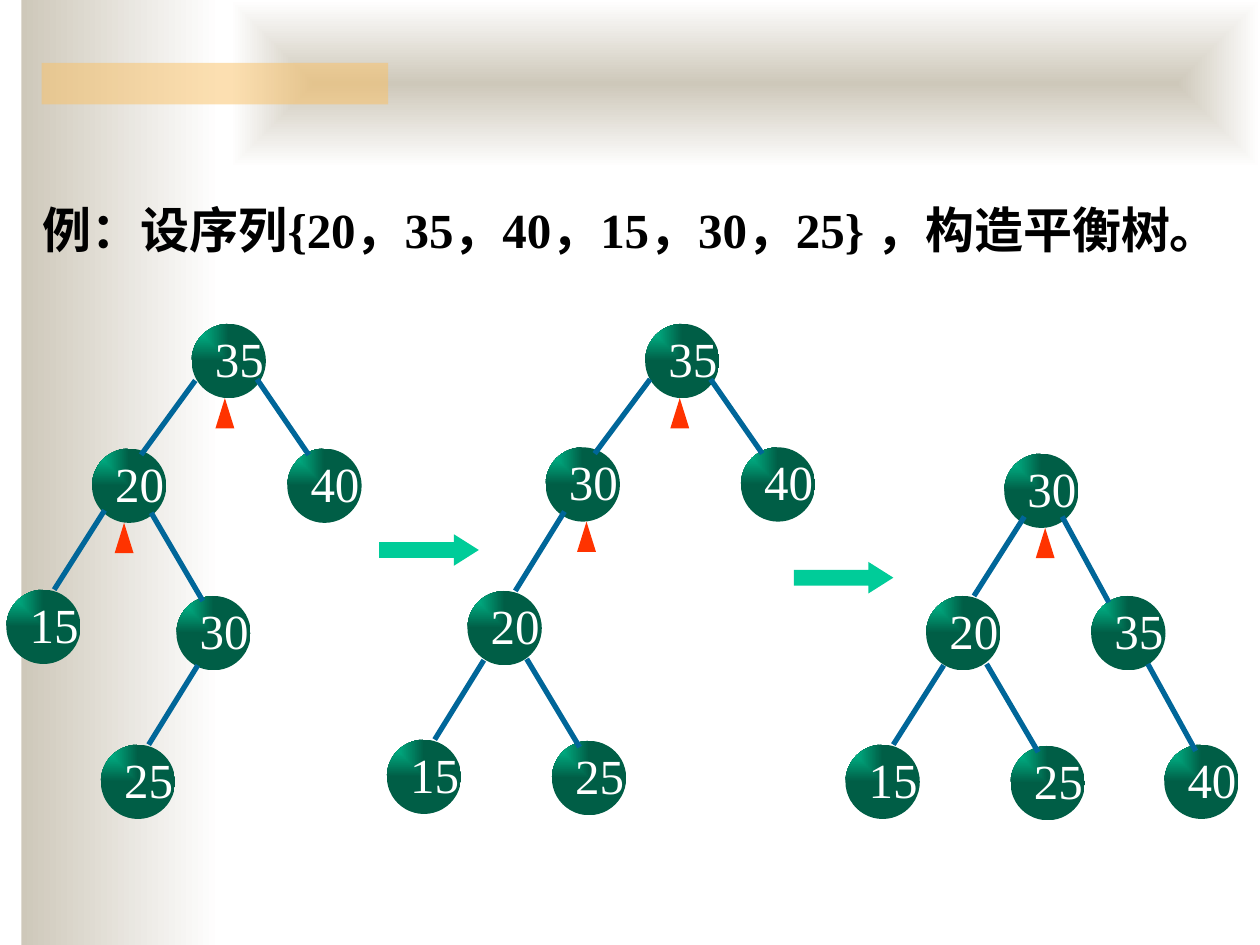
"""Builds a slide that shows how a balanced tree is made from a sequence."""
from typing import NamedTuple, Optional

from lxml.etree import SubElement
from pptx import Presentation
from pptx.dml.color import RGBColor
from pptx.enum.shapes import MSO_CONNECTOR as Connector, MSO_SHAPE as Shape
from pptx.enum.text import MSO_ANCHOR as Anchor, PP_ALIGN as Align
from pptx.oxml.ns import qn
from pptx.util import Emu, Inches, Pt

COLUMNS, ROWS = 100, 75
NODE_SIZE = 5.9
LATIN, CHINESE = "Times New Roman", "Noto Sans CJK SC"
BEIGE, WHITE, BLACK = "CEC8BA", "FFFFFF", "000000"
AMBER, GREEN, DARK_GREEN = "FAC164", "00CC99", "005E46"
BLUE, RED = "006699", "FF3300"


class Node(NamedTuple):
    key: int
    col: float
    row: float
    marker_offset: Optional[float] = None


class Edge(NamedTuple):
    from_col: float
    from_row: float
    to_col: float
    to_row: float


class Tree(NamedTuple):
    nodes: list[Node]
    edges: list[Edge]


TREES = [
    Tree(
        [Node(35, 15.2, 25.7, 1.9), Node(20, 7.3, 35.6, 1.8), Node(40, 22.8, 35.6),
         Node(15, 0.5, 46.8), Node(30, 14, 47.3), Node(25, 8, 59.1)],
        [Edge(20.4, 30.1, 24.5, 36.1), Edge(15.5, 30.2, 11.2, 36.1),
         Edge(8.3, 40.5, 4.3, 46.8), Edge(12, 40.7, 16.1, 47.7),
         Edge(15.7, 52.8, 11.8, 59.1)],
    ),
    Tree(
        [Node(35, 51.2, 25.7, 2), Node(30, 43.3, 35.5, 2.5), Node(40, 58.8, 35.5),
         Node(20, 37.1, 46.9), Node(15, 30.7, 58.7), Node(25, 43.8, 58.8)],
        [Edge(56.4, 30.1, 60.5, 36), Edge(51.6, 30.1, 47.2, 36),
         Edge(44.8, 40.6, 40.9, 46.9), Edge(41.8, 52.3, 46, 59.3),
         Edge(38.4, 52.4, 34.5, 58.7)],
    ),
    Tree(
        [Node(30, 79.7, 36, 2.5), Node(20, 73.5, 47.3), Node(35, 86.6, 47.3),
         Node(15, 67.1, 59.1), Node(25, 80.2, 59.2), Node(40, 92.4, 59.1)],
        [Edge(84.3, 41, 88, 47.8), Edge(81.3, 41, 77.3, 47.3),
         Edge(91.1, 52.7, 94.9, 59.6), Edge(78.3, 52.7, 82.4, 59.7),
         Edge(74.9, 52.8, 70.9, 59.1)],
    ),
]
STEP_ARROWS = [(30.1, 42.4), (63, 44.6)]

deck = Presentation()
deck.slide_width, deck.slide_height = Inches(10), Inches(7.5)


def x(col: float) -> Emu:
    """Turn grid columns into a length."""
    return Emu(round(deck.slide_width * col / COLUMNS))


def y(row: float) -> Emu:
    """Turn grid rows into a length."""
    return Emu(round(deck.slide_height * row / ROWS))


def color(value: str) -> RGBColor:
    """Read a hex colour."""
    return RGBColor.from_string(value)


def add_block(slide, kind, col: float, row: float, width: float, height: float, fill: str):
    """Add a plain filled shape on the grid."""
    block = slide.shapes.add_shape(kind, x(col), y(row), x(width), y(height))
    block.shadow.inherit = False
    block.line.fill.background()
    block.fill.solid()
    block.fill.fore_color.rgb = color(fill)
    return block


def shade(block, start: str, end: str, kind: str = "", focus: Optional[dict] = None) -> None:
    """Fill a shape with a two-colour gradient, linear unless a kind is given."""
    block.fill.gradient()
    for stop, value, position in zip(block.fill.gradient_stops, (start, end), (0, 1)):
        stop.color.rgb = color(value)
        stop.position = position
    if not kind:
        block.fill.gradient_angle = 0
        return
    gradient = block.fill._fill._gradFill
    gradient.remove(gradient.find(qn("a:lin")))
    shape_path = SubElement(gradient, qn("a:path"), {"path": kind})
    SubElement(shape_path, qn("a:fillToRect"), focus)


def add_backdrop(slide) -> None:
    """Add the shaded side, the shaded top and the amber bar."""
    shade(add_block(slide, Shape.RECTANGLE, 1.7, 0, 15.8, 75, BEIGE), BEIGE, WHITE)
    top = add_block(slide, Shape.RECTANGLE, 18.3, 0, 81.7, 13.3, BEIGE)
    shade(top, BEIGE, WHITE, "shape", {side: "50000" for side in "ltrb"})
    bar = add_block(slide, Shape.RECTANGLE, 3.3, 5, 27.5, 3.3, AMBER)
    tint = bar.fill._fill._solidFill.find(qn("a:srgbClr"))
    SubElement(tint, qn("a:alpha"), {"val": "50000"})


def write_task(slide, task: str) -> None:
    """Write the task in the title placeholder, in front of the backdrop."""
    title = slide.shapes.title
    slide.shapes._spTree.append(title._element)
    title.left, title.top, title.width, title.height = x(2.4), y(15.3), x(96.8), y(5.7)
    frame = title.text_frame
    frame.text = task
    frame.word_wrap = True
    frame.vertical_anchor = Anchor.TOP
    paragraph = frame.paragraphs[0]
    paragraph.alignment = Align.LEFT
    paragraph.space_before = Pt(14)
    run = paragraph.runs[0]
    run.font.size, run.font.bold, run.font.name = Pt(28), True, LATIN
    run.font.color.rgb = color(BLACK)
    SubElement(run.font._element, qn("a:ea"), {"typeface": CHINESE})


def add_node(slide, node: Node) -> None:
    """Add a tree node with its key, and a marker under it if it has one."""
    ball = add_block(slide, Shape.OVAL, node.col, node.row, NODE_SIZE, NODE_SIZE, GREEN)
    shade(ball, GREEN, DARK_GREEN, "rect", {"r": "100000", "b": "100000"})
    frame = ball.text_frame
    frame.text = str(node.key)
    frame.word_wrap = False
    frame.vertical_anchor = Anchor.MIDDLE
    frame.margin_top = 0
    paragraph = frame.paragraphs[0]
    paragraph.alignment = Align.LEFT
    font = paragraph.runs[0].font
    font.size, font.name = Pt(28), LATIN
    font.color.rgb = color(WHITE)
    if node.marker_offset is not None:
        add_block(slide, Shape.ISOSCELES_TRIANGLE, node.col + node.marker_offset,
                  node.row + NODE_SIZE, 1.5, 2.4, RED)


def add_edge(slide, edge: Edge) -> None:
    """Add a line between a parent and a child."""
    line = slide.shapes.add_connector(
        Connector.STRAIGHT, x(edge.from_col), y(edge.from_row), x(edge.to_col), y(edge.to_row))
    line.line.color.rgb = color(BLUE)
    line.line.width = Pt(3)
    SubElement(line._element.spPr, qn("a:effectLst"))


def main() -> None:
    """Build and save the slide."""
    slide = deck.slides.add_slide(deck.slide_layouts[5])
    add_backdrop(slide)
    write_task(slide, "例：设序列{20，35，40，15，30，25} ，构造平衡树。")
    for tree in TREES:
        for node in tree.nodes:
            add_node(slide, node)
        for edge in tree.edges:
            add_edge(slide, edge)
    for col, row in STEP_ARROWS:
        arrow = add_block(slide, Shape.RIGHT_ARROW, col, row, 7.9, 2.5, GREEN)
        arrow.adjustments[1] = 0.79
    deck.save("out.pptx")


if __name__ == "__main__":
    main()
